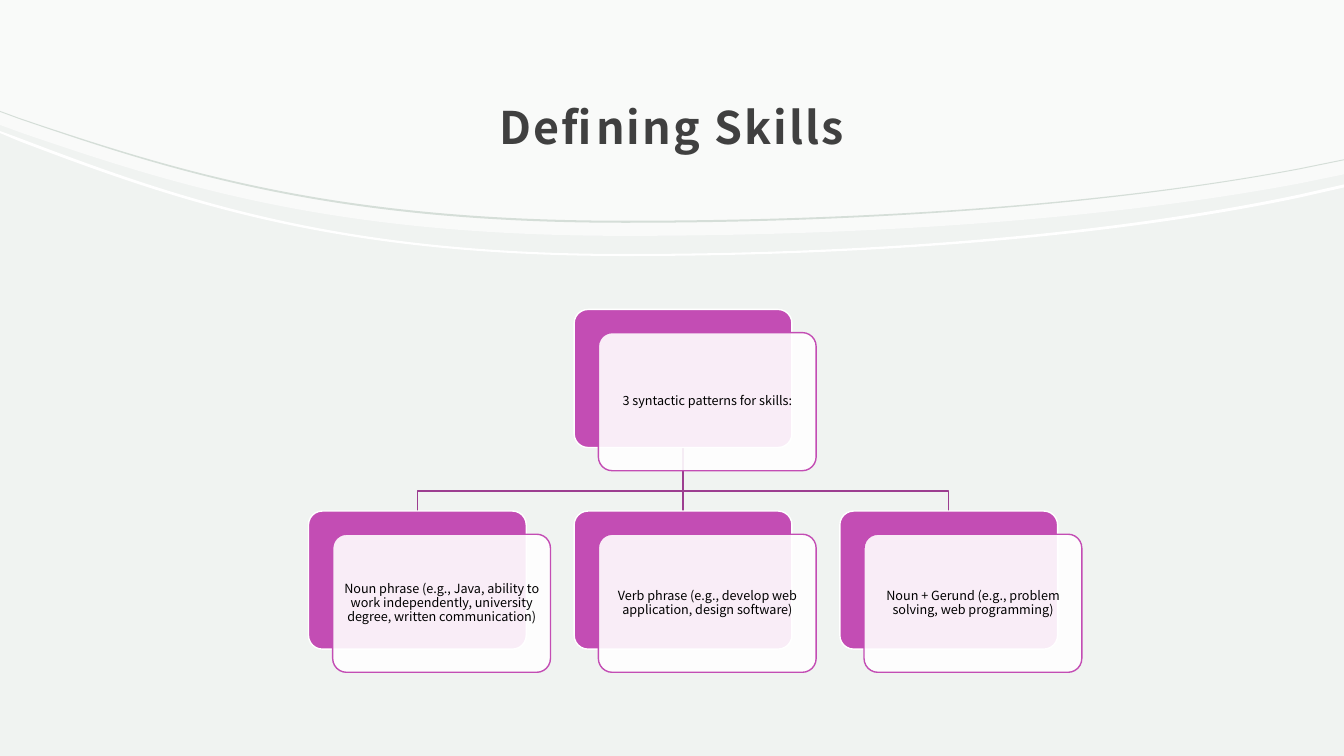
from dataclasses import dataclass

import pptx
import pptx.dml.color
import pptx.enum.shapes
import pptx.enum.text
import pptx.oxml
import pptx.oxml.ns
import pptx.util
from pptx.util import Inches

FONT = "Noto Sans CJK JP"
COLORS = {
    "background": "F0F3F1", "white": "FFFFFF", "curve": "D5DED8", "title": "404040",
    "card": "C34DB4", "branch": "9C3E90", "text": "000000",
}
CURVE_X = (0, 0.19, 1.79, 3.33, 6.2, 8.75, 11.09, 12.89, 13.33)
CARD_W, CARD_H = 2.16, 1.37
CARD_DX, CARD_DY = 0.24, 0.23
TEXT_INSET = 0.04
FIRST_X, LAST_X = 3.06, 8.33
ROOT_Y, BRANCH_Y, CHILD_Y = 3.07, 4.87, 5.07
TRUNK_BOX_W = 0.1


@dataclass
class Band:
    """A filled area; a curved edge has nine heights, a straight one two."""
    top: tuple[float, ...]
    bottom: tuple[float, ...]
    color: str
    alpha: int = 100


@dataclass
class Card:
    """A text card with a coloured card behind it."""
    x: float
    y: float
    text: str


HEADER = Band((0, 0), (1.24, 1.31, 1.86, 2.34, 2.34, 2.34, 2.16, 1.82, 1.73), "white", 60)
WHITE_CURVE = Band((1.3, 1.37, 1.98, 2.52, 2.52, 2.52, 2.31, 1.93, 1.83),
                   (1.32, 1.4, 2.01, 2.54, 2.54, 2.54, 2.34, 1.96, 1.86), "white")
GREY_CURVE = Band((1.1, 1.17, 1.71, 2.19, 2.19, 2.19, 2.01, 1.67, 1.58),
                  (1.11, 1.18, 1.73, 2.21, 2.21, 2.21, 2.02, 1.68, 1.59), "curve")
PATTERNS = (
    "Noun phrase (e.g., Java, ability to work independently, university degree, "
    "written communication)",
    "Verb phrase (e.g., develop web application, design software)",
    "Noun + Gerund (e.g., problem solving, web programming)",
)
PITCH = (LAST_X - FIRST_X) / (len(PATTERNS) - 1)
CHILDREN = [Card(FIRST_X + i * PITCH, CHILD_Y, text) for i, text in enumerate(PATTERNS)]
ROOT = Card(CHILDREN[1].x, ROOT_Y, "3 syntactic patterns for skills:")


def rgb(name: str) -> pptx.dml.color.RGBColor:
    """Look up a named colour."""
    return pptx.dml.color.RGBColor.from_string(COLORS[name])


def nodes(sp, tag: str) -> list:
    """List the XML elements of a shape that have a tag."""
    return list(sp._element.iter(pptx.oxml.ns.qn(tag)))


def paint(sp, fill: str | None, line: str | None, alpha: int = 100) -> None:
    """Set fill, opacity in percent and a one-point line, without a shadow."""
    sp.shadow.inherit = False
    if fill:
        sp.fill.solid()
        sp.fill.fore_color.rgb = rgb(fill)
        if alpha < 100:
            nodes(sp, "a:srgbClr")[0].append(pptx.oxml.parse_xml(
                f'<a:alpha {pptx.oxml.ns.nsdecls("a")} val="{alpha * 1000}"/>'))
    else:
        sp.fill.background()
    if line:
        sp.line.color.rgb = rgb(line)
        sp.line.width = pptx.util.Pt(1)
    else:
        sp.line.fill.background()


def add_text(s, box: tuple[float, float, float, float], text: str, size: float,
             color: str, spacing: float, inset: float, bold: bool = False):
    """Add a text box with one centred run and return box and run."""
    sp = s.shapes.add_textbox(*map(Inches, box))
    tf = sp.text_frame
    tf.word_wrap = True
    tf.vertical_anchor = pptx.enum.text.MSO_ANCHOR.MIDDLE
    tf.margin_left = tf.margin_right = tf.margin_top = tf.margin_bottom = Inches(inset)
    p = tf.paragraphs[0]
    p.alignment = pptx.enum.text.PP_ALIGN.CENTER
    p.line_spacing = spacing
    r = p.add_run()
    r.text = text
    r.font.name, r.font.size, r.font.bold = FONT, pptx.util.Pt(size), bold
    r.font.color.rgb = rgb(color)
    return sp, r


def add_outline(s, points: list[tuple[float, float]], close: bool):
    """Add a freeform through points given in inches."""
    spots = [(Inches(x), Inches(y)) for x, y in points]
    builder = s.shapes.build_freeform(*spots[0], scale=1.0)
    builder.add_line_segments(spots[1:], close=close)
    return builder.convert_to_shape()


def edge(heights: tuple[float, ...]) -> list[tuple[float, float]]:
    """Pair heights with their places across the slide."""
    xs = CURVE_X if len(heights) == len(CURVE_X) else (CURVE_X[0], CURVE_X[-1])
    return list(zip(xs, heights))


def add_band(s, band: Band) -> None:
    """Draw one band, joining triples of segments into cubic curves."""
    sp = add_outline(s, edge(band.top) + edge(band.bottom)[::-1], True)
    segments = nodes(sp, "a:lnTo")
    offset = len(band.top)
    starts = [offset + 1, offset + 4]
    if offset == len(CURVE_X):
        starts += [1, 4]
    for start in starts:
        curve, *rest = segments[start:start + 3]
        curve.tag = pptx.oxml.ns.qn("a:cubicBezTo")
        for segment in rest:
            curve.append(segment[0])
            segment.getparent().remove(segment)
    paint(sp, band.color, None, band.alpha)


def add_title(s, text: str) -> None:
    """Draw the letter-spaced title."""
    sp, r = add_text(s, (1.33, 0.6, 10.67, 1.14), text, 32, "title", 1.3, 0.12, True)
    sp.text_frame.margin_bottom = Inches(0.1)
    r._r.get_or_add_rPr().set("spc", "150")


def add_branch(s, parent: Card, child: Card) -> None:
    """Link the parent to a child, bending where they are not aligned."""
    x1, y1 = parent.x + CARD_W / 2, parent.y + CARD_H
    x2, y2 = child.x + CARD_W / 2, child.y
    bend = [] if x1 == x2 else [(x1, BRANCH_Y), (x2, BRANCH_Y)]
    sp = add_outline(s, [(x1, y1), *bend, (x2, y2)], False)
    if not bend:
        width = Inches(TRUNK_BOX_W)
        sp.left, sp.width = sp.left - width // 2, width
        nodes(sp, "a:path")[0].set("w", str(width))
        for point in nodes(sp, "a:pt"):
            point.set("x", str(width // 2))
    paint(sp, None, "branch")


def add_card(s, card: Card) -> None:
    """Draw the back card, the translucent front card and its text."""
    x, y = card.x + CARD_DX, card.y + CARD_DY
    layers = ((card.x, card.y, "card", "white", 100), (x, y, "white", "card", 90))
    for left, top, fill, line, alpha in layers:
        sp = s.shapes.add_shape(pptx.enum.shapes.MSO_SHAPE.ROUNDED_RECTANGLE,
                                Inches(left), Inches(top), Inches(CARD_W), Inches(CARD_H))
        sp.adjustments[0] = 0.1
        paint(sp, fill, line, alpha)
    box = (x + TEXT_INSET, y + TEXT_INSET, CARD_W - 2 * TEXT_INSET, CARD_H - 2 * TEXT_INSET)
    add_text(s, box, card.text, 9, "text", 0.9, TEXT_INSET)


def main() -> None:
    """Build and save the slide."""
    prs = pptx.Presentation()
    prs.slide_width, prs.slide_height = Inches(13.33), Inches(7.5)
    s = prs.slides.add_slide(prs.slide_layouts[6])
    s.background.fill.solid()
    s.background.fill.fore_color.rgb = rgb("background")
    add_band(s, HEADER)
    add_band(s, WHITE_CURVE)
    add_title(s, "Defining Skills")
    add_band(s, GREY_CURVE)
    for child in reversed(CHILDREN):
        add_branch(s, ROOT, child)
    for card in (ROOT, *CHILDREN):
        add_card(s, card)
    prs.save("out.pptx")


main()
